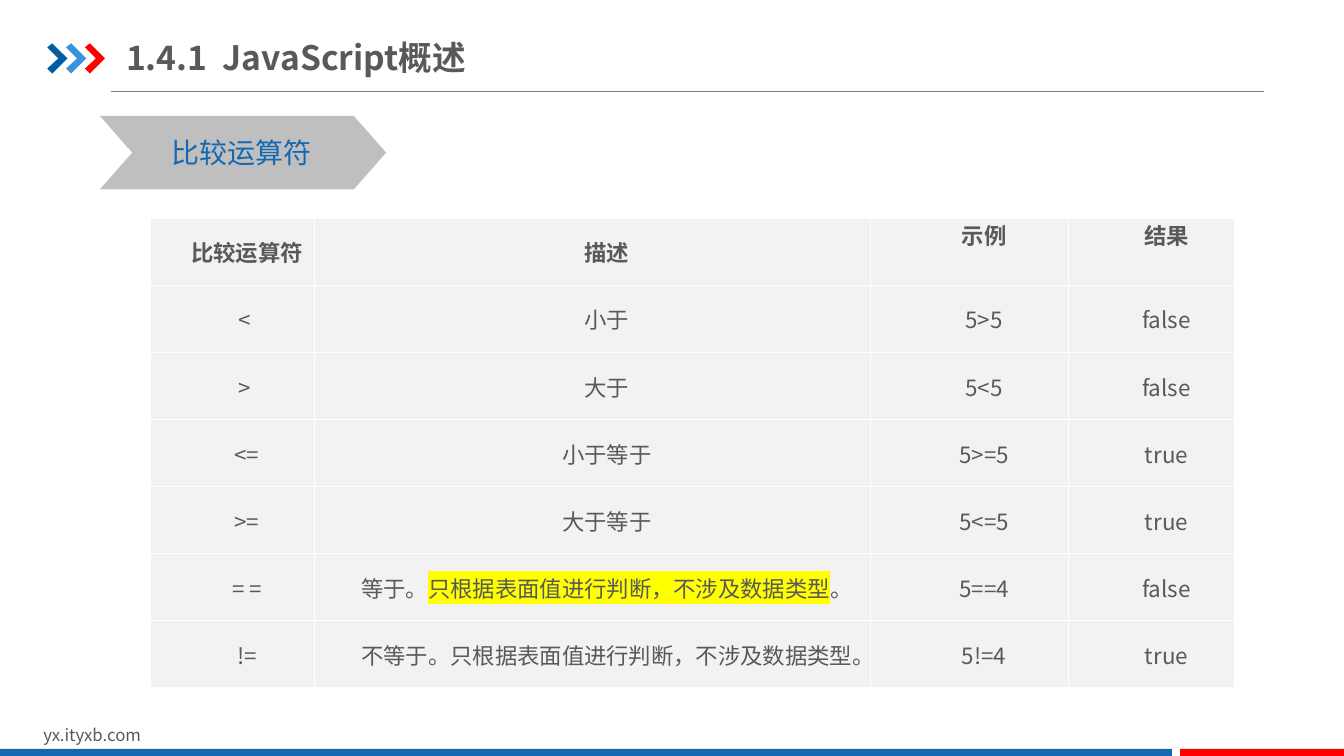
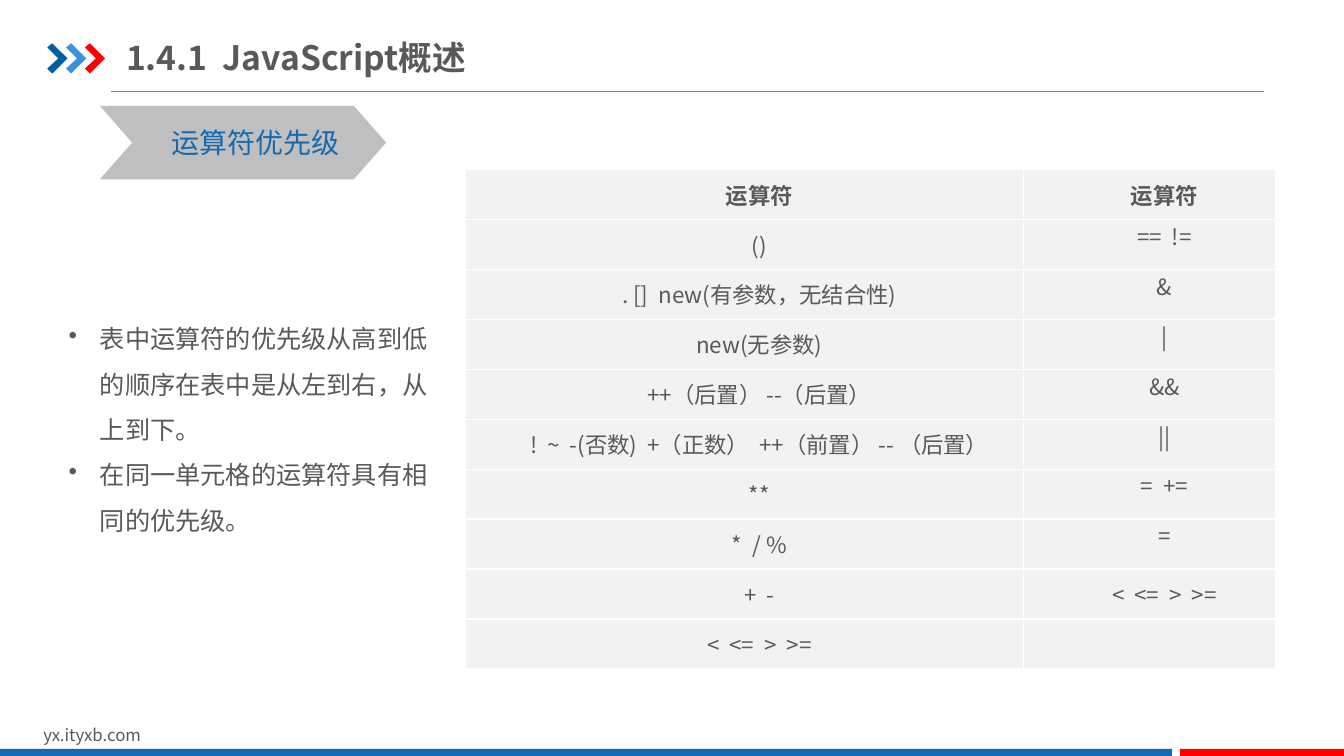
"""Build two slides on JavaScript comparison operators and operator precedence."""
from dataclasses import dataclass

from lxml.etree import SubElement
from pptx import Presentation
from pptx.dml.color import RGBColor
from pptx.enum.shapes import MSO_CONNECTOR as Connector, MSO_SHAPE as Preset
from pptx.enum.text import MSO_ANCHOR as Anchor, MSO_AUTO_SIZE as AutoSize, PP_ALIGN as Align
from pptx.oxml import parse_xml
from pptx.oxml.ns import nsdecls, qn
from pptx.util import Inches, Pt


@dataclass(frozen=True)
class Theme:
    font: str = "Noto Sans CJK SC"
    text: str = "595959"
    blue: str = "1369B2"
    dark_blue: str = "005DA2"
    light_blue: str = "3992DB"
    red: str = "FF0000"
    rule: str = "808080"
    tag: str = "BFBFBF"
    cell: str = "F2F2F2"
    border: str = "FFFFFF"
    highlight: str = "FFFF00"
    title_size: int = 24
    tag_size: int = 20
    body_size: int = 18
    cell_size: int = 16
    footer_size: int = 12


theme = Theme()
presentation = Presentation()
presentation.slide_width = Inches(13.33)
presentation.slide_height = Inches(7.5)
COLUMN = presentation.slide_width / 100
ROW = presentation.slide_height / 100


def place(left, top, width, height):
    return [round(share * unit) for share, unit in zip((left, top, width, height), (COLUMN, ROW) * 2)]


def write(holder, texts, size, color, holder_format, paragraph_format, bold=False, indents=(0, 0), bullet=None):
    for name, value in holder_format.items():
        setattr(holder, name, value)
    frame = getattr(holder, "text_frame", holder)
    for index, text in enumerate(texts):
        paragraph = frame.add_paragraph() if index else frame.paragraphs[0]
        properties = paragraph._p.get_or_add_pPr()
        for name, inches in zip(("marL", "indent"), indents):
            properties.set(name, str(Inches(inches)))
        if bullet:
            SubElement(properties, qn("a:buChar")).set("char", bullet)
        for name, value in paragraph_format.items():
            setattr(paragraph, name, value)
        for part, piece in enumerate(text.split("`")):
            run = paragraph.add_run()
            run.text = piece
            for name, value in {"name": theme.font, "size": Pt(size), "bold": bold}.items():
                setattr(run.font, name, value)
            run.font.color.rgb = RGBColor.from_string(color)
            run_properties = run._r.get_or_add_rPr()
            SubElement(run_properties, qn("a:ea")).set("typeface", theme.font)
            if part % 2:
                run_properties.find(qn("a:solidFill")).addnext(parse_xml(
                    f'<a:highlight {nsdecls("a")}><a:srgbClr val="{theme.highlight}"/></a:highlight>'))


LEFT = {"alignment": Align.LEFT}
CENTER = {"alignment": Align.CENTER}
TITLE_FRAME = {"margin_left": 0, "margin_right": 0, "margin_top": Inches(0.07), "margin_bottom": Inches(0.07),
               "vertical_anchor": Anchor.MIDDLE, "word_wrap": True, "auto_size": AutoSize.NONE}
FOOTER_FRAME = {"word_wrap": True}
TAG_FRAME = {"word_wrap": False}
BULLET_FRAME = {"margin_left": 0, "margin_right": 0, "margin_top": 0, "margin_bottom": 0, "word_wrap": True}
CELL_FORMAT = {"margin_left": Inches(0.07), "margin_right": Inches(0.07), "margin_top": 0, "margin_bottom": 0}

CONTENTS = [
    {
        "tag": "比较运算符",
        "tag_top": 15.33,
        "tag_width": 12,
        "table_at": (11.18, 28.93),
        "columns": (12.22, 41.35, 14.77, 12.38),
        "row_height": 8.87,
        "top_cells": {(0, 2), (0, 3)},
        "rows": [
            ("比较运算符", "描述", "示例", "结果"),
            ("< ", "小于", "5>5", "false"),
            ("> ", "大于", "5<5", "false"),
            ("<=", "小于等于", "5>=5", "true"),
            (">=", "大于等于", "5<=5", "true"),
            ("= =", "等于。`只根据表面值进行判断，不涉及数据类型`。", "5==4", "false"),
            ("!=", "不等于。只根据表面值进行判断，不涉及数据类型。", "5!=4", "true"),
        ],
        "bullets": [],
    },
    {
        "tag": "运算符优先级",
        "tag_top": 14,
        "tag_width": 14.1,
        "table_at": (34.65, 22.4),
        "columns": (41.52, 18.75),
        "row_height": 6.61,
        "top_cells": {(row, 1) for row in range(1, 8)},
        "rows": [
            ("运算符", "运算符"),
            ("()", "==  !="),
            (". []  new(有参数，无结合性)", "&"),
            ("new(无参数)", "|"),
            ("++（后置） --（后置）", "&&"),
            ("!  ~  -(否数)  +（正数）  ++（前置） -- （后置）", "||"),
            ("**", "=  +="),
            ("*  / %", "="),
            ("+  -", "<  <=  >  >="),
            ("<  <=  >  >=", ""),
        ],
        "bullets": ["表中运算符的优先级从高到低的顺序在表中是从左到右，从上到下。",
                    "在同一单元格的运算符具有相同的优先级。"],
    },
]

layout = presentation.slide_layouts[5]
for placeholder in list(layout.placeholders):
    if placeholder.placeholder_format.idx:
        placeholder.element.getparent().remove(placeholder.element)
slides = [presentation.slides.add_slide(layout) for _ in CONTENTS]

shapes = slides[0].shapes
x1, y1, x2, y2 = place(8.25, 12.13, 94.05, 12.13)
title_rule = shapes.add_connector(Connector.STRAIGHT, x1, y1, x2, y2)
title_rule.line.color.rgb = RGBColor.from_string(theme.rule)
title_rule.line.width = Pt(0.75)
SubElement(title_rule.element.spPr, qn("a:effectLst"))

ARROW = [(0, 6.27), (0.37, 5.73), (1.5, 7.73), (0.37, 9.73), (0, 9.07), (0.82, 7.73)]
filled = []
for index, color in enumerate((theme.dark_blue, theme.light_blue, theme.red)):
    points = [place(3.52 + 1.4 * index + x, y, 0, 0)[:2] for x, y in ARROW]
    builder = shapes.build_freeform(*points[0])
    builder.add_line_segments(points[1:], close=True)
    filled.append((builder.convert_to_shape(), color))
for left, width, color in ((0, 87.2, theme.blue), (87.8, 12.2, theme.red)):
    filled.append((shapes.add_shape(Preset.RECTANGLE, *place(left, 99.07, width, 0.93)), color))

footer = shapes.add_textbox(*place(2.48, 95.2, 23.85, 4))
write(footer.text_frame, ["yx.ityxb.com"], theme.footer_size, theme.text, FOOTER_FRAME, LEFT)
for shape in list(shapes):
    if not shape.is_placeholder:
        layout.shapes.element.append(shape.element)

for slide, content in zip(slides, CONTENTS):
    shapes = slide.shapes
    title = shapes.title
    title.left, title.top, title.width, title.height = place(9.38, 3.87, 31.95, 7.33)
    write(title.text_frame, ["1.4.1  JavaScript概述"], theme.title_size, theme.text, TITLE_FRAME, LEFT, bold=True)

    chevron = shapes.add_shape(Preset.CHEVRON, *place(7.43, content["tag_top"], 21.3, 9.73))
    chevron.adjustments[0] = 0.44
    filled.append((chevron, theme.tag))
    tag = shapes.add_textbox(*place(12, content["tag_top"] + 2, content["tag_width"], 5.87))
    write(tag.text_frame, [content["tag"]], theme.tag_size, theme.blue, TAG_FRAME, LEFT)

    rows, columns = content["rows"], content["columns"]
    size = sum(columns), content["row_height"] * len(rows)
    table = shapes.add_table(len(rows), len(columns), *place(*content["table_at"], *size)).table
    table.first_row = table.horz_banding = False
    for column, share in zip(table.columns, columns):
        column.width = round(share * COLUMN)
    for row_index, row in enumerate(rows):
        for column_index, text in enumerate(row):
            cell = table.cell(row_index, column_index)
            at_top = (row_index, column_index) in content["top_cells"]
            cell_format = {**CELL_FORMAT, "vertical_anchor": Anchor.TOP if at_top else Anchor.MIDDLE}
            write(cell, [text] if text else [], theme.cell_size, theme.text, cell_format, CENTER,
                  bold=row_index == 0, indents=(0, 0.29))
            for side in "LRTB":
                cell._tc.get_or_add_tcPr().append(parse_xml(
                    f'<a:ln{side} {nsdecls("a")} w="{Pt(1)}"><a:solidFill>'
                    f'<a:srgbClr val="{theme.border}"/></a:solidFill></a:ln{side}>'))
            cell.fill.solid()
            cell.fill.fore_color.rgb = RGBColor.from_string(theme.cell)

    if content["bullets"]:
        notes = shapes.add_textbox(*place(5.1, 40.8, 28.35, 29.6))
        write(notes.text_frame, content["bullets"], theme.body_size, theme.text, BULLET_FRAME,
              {**LEFT, "line_spacing": 1.5}, indents=(0.31, -0.31), bullet="•")

for shape, color in filled:
    shape.shadow.inherit = False
    shape.fill.solid()
    shape.fill.fore_color.rgb = RGBColor.from_string(color)
    shape.line.fill.background()

presentation.save("out.pptx")
